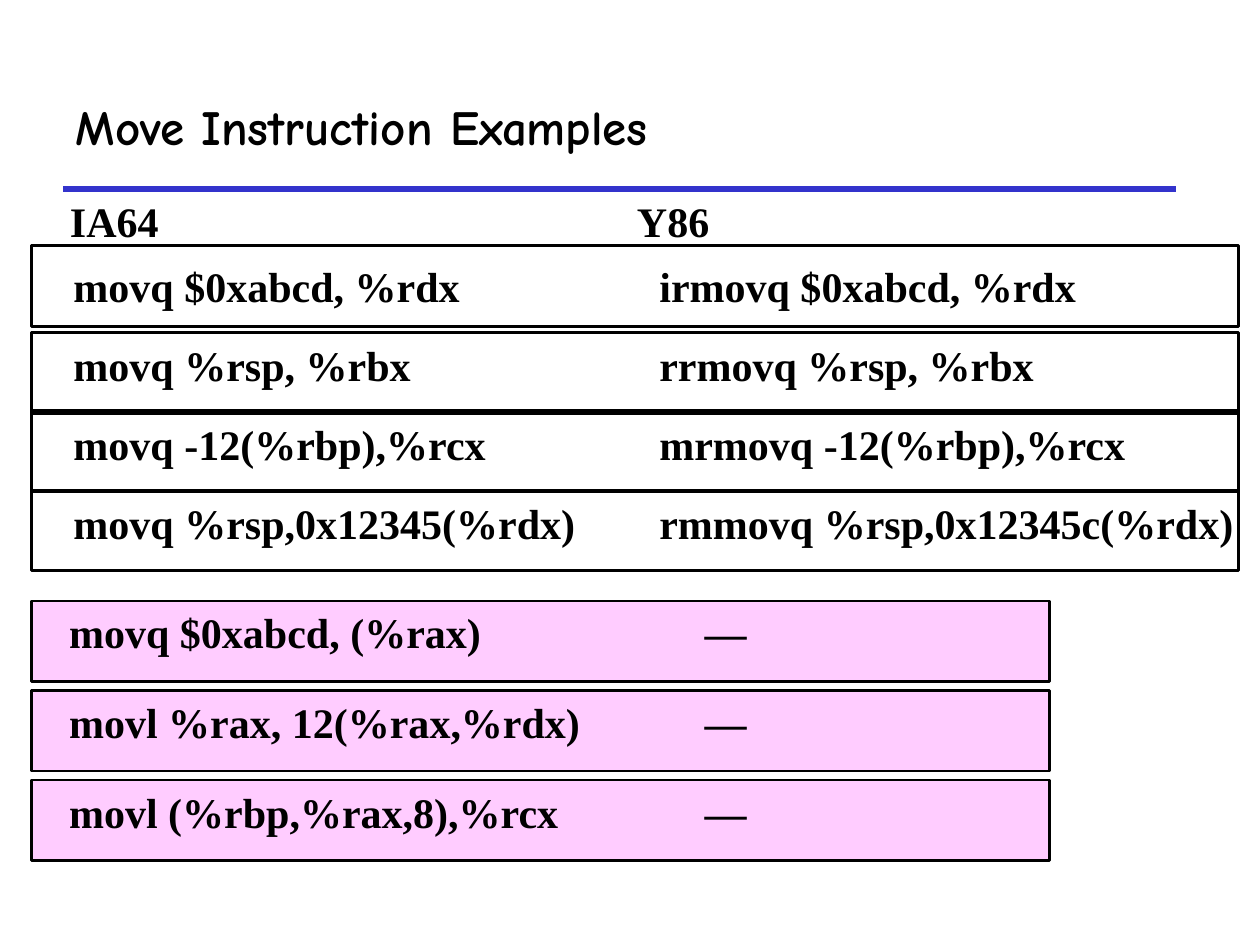
import pptx
import pptx.util
import pptx.dml.color
import pptx.enum.shapes
import pptx.enum.text
import lxml.etree
from dataclasses import dataclass


@dataclass(frozen=True)
class Theme:
    title_font: str = "Comic Neue"
    code_font: str = "Times New Roman"
    title_size: int = 28
    code_size: int = 24
    ink: str = "000000"
    rule: str = "3333CC"
    invalid: str = "FFCCFF"


theme = Theme()
rgb = pptx.dml.color.RGBColor.from_string
Pt = pptx.util.Pt
MIDDLE = pptx.enum.text.MSO_ANCHOR.MIDDLE

prs = pptx.Presentation()
prs.slide_width, prs.slide_height = pptx.util.Inches(10), pptx.util.Inches(7.5)
col, row = prs.slide_width / 100, prs.slide_height / 75
s = prs.slides.add_slide(prs.slide_layouts[5])


def place(x, y, w, h):
    """Turn grid columns and rows into a position and size."""
    return [round(v) for v in (x * col, y * row, w * col, h * row)]


def add_text(shapes, text, box, inset, anchor):
    tf = shapes.add_textbox(*place(*box)).text_frame
    tf.word_wrap = False
    tf.vertical_anchor = anchor
    tf.margin_left = tf.margin_right = round(inset * col)
    p = tf.paragraphs[0]
    p.text = text
    p.font.name, p.font.size, p.font.bold = theme.code_font, Pt(theme.code_size), True
    p.font.color.rgb = rgb(theme.ink)


# Title and the rule below it
title = s.shapes.title
title.left, title.top, title.width, title.height = place(5, 5, 88.3, 10)
title.text_frame.vertical_anchor = MIDDLE
p = title.text_frame.paragraphs[0]
p.text = "Move Instruction Examples"
p.alignment = pptx.enum.text.PP_ALIGN.LEFT
p.font.name, p.font.size, p.font.bold = theme.title_font, Pt(theme.title_size), True
p.font.color.rgb = rgb(theme.ink)

x, y, length, _ = place(5, 15, 88.3, 0)
rule = s.shapes.add_connector(pptx.enum.shapes.MSO_CONNECTOR.STRAIGHT, x, y, x + length, y)
rule.line.color.rgb = rgb(theme.rule)
rule.line.width = Pt(3)
lxml.etree.SubElement(rule._element.spPr, pptx.oxml.ns.qn("a:effectLst"))

# Column headings
for text, x, w in [("IA64", 5.05, 8.1), ("Y86", 50.05, 6.8)]:
    add_text(s.shapes, text, (x, 15, w, 5.1), 0.5, pptx.enum.text.MSO_ANCHOR.TOP)

# Each block: fill, frame width, frame tops, text rows (first top, pitch, height),
# text columns (left, width), instruction pairs
blocks = [
    (theme.invalid, 80.8, [47.7, 54.8, 61.9], (47.3, 7.15, 5.7), [(4.5, 44), (54.95, 18)], [
        ("movq $0xabcd, (%rax)", "—"),
        ("movl %rax, 12(%rax,%rdx)", "—"),
        ("movl (%rbp,%rax,8),%rcx", "—"),
    ]),
    (None, 95.8, [19.5, 26.4, 32.6, 38.9], (20.2, 6.25, 5), [(4.85, 44), (51.35, 48)], [
        ("movq $0xabcd, %rdx", "irmovq $0xabcd, %rdx"),
        ("movq %rsp, %rbx", "rrmovq %rsp, %rbx"),
        ("movq -12(%rbp),%rcx", "mrmovq -12(%rbp),%rcx"),
        ("movq %rsp,0x12345(%rdx)", "rmmovq %rsp,0x12345c(%rdx)"),
    ]),
]
for fill, frame_width, tops, (first, pitch, h), columns, pairs in blocks:
    shapes = s.shapes.add_group_shape().shapes
    for top in tops:
        sp = shapes.add_shape(pptx.enum.shapes.MSO_SHAPE.RECTANGLE,
                              *place(2.5, top, frame_width, 6.4))
        sp.shadow.inherit = False
        sp.line.color.rgb = rgb(theme.ink)
        sp.line.width = Pt(1.5)
        if fill:
            sp.fill.solid()
            sp.fill.fore_color.rgb = rgb(fill)
        else:
            sp.fill.background()
    for i, pair in enumerate(pairs):
        for (x, w), text in zip(columns, pair):
            add_text(shapes, text, (x, first + i * pitch, w, h), 1, MIDDLE)

prs.save("out.pptx")
